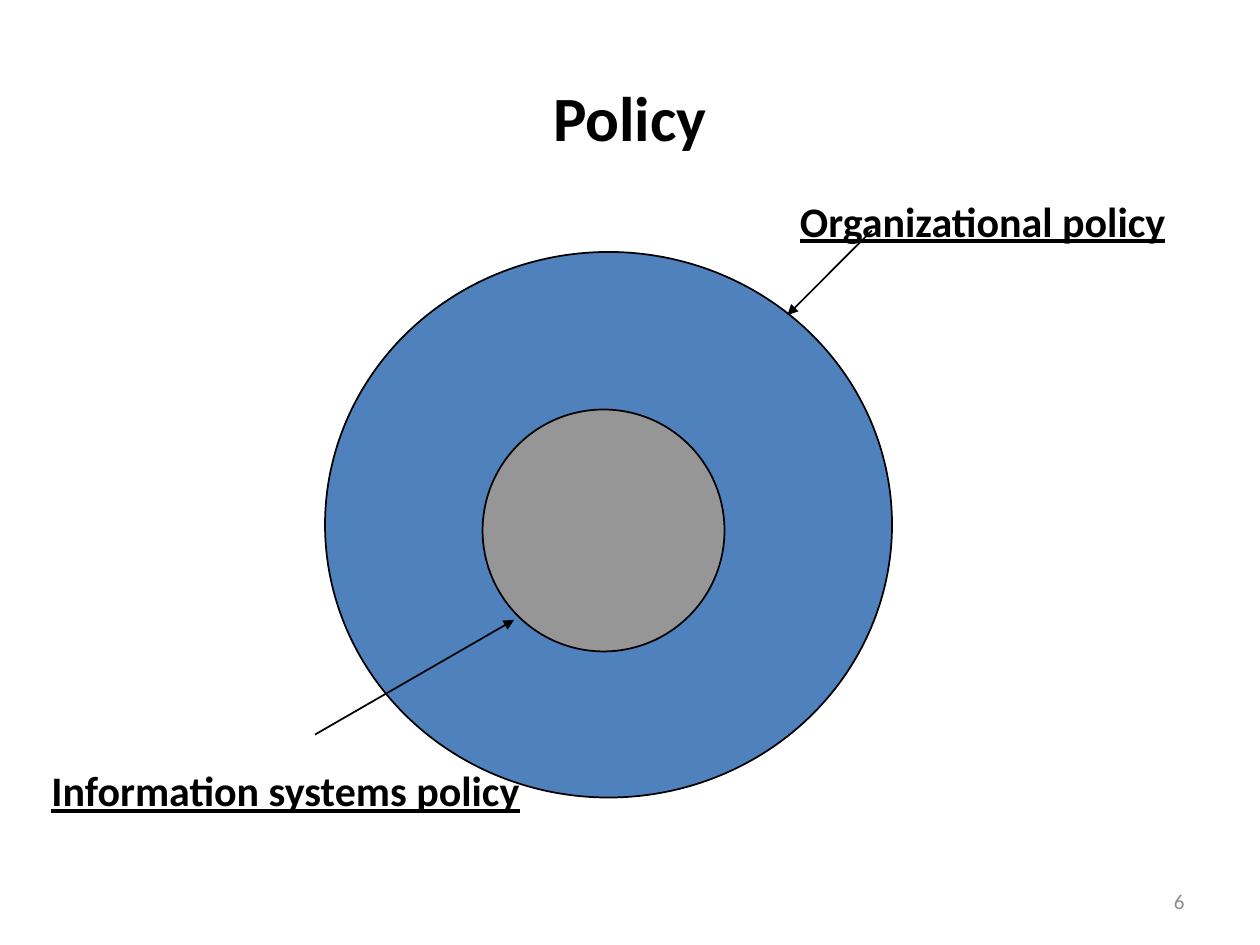
from lxml.etree import SubElement
from pptx import Presentation
from pptx.dml.color import RGBColor
from pptx.enum.shapes import MSO_CONNECTOR as Connector, MSO_SHAPE as Shape
from pptx.enum.text import MSO_ANCHOR as Anchor, PP_ALIGN as Align
from pptx.oxml.ns import qn
from pptx.util import Inches, Pt

BLACK = "000000"
BLUE = "4F81BD"
GRAY = "969696"
MUTED = "8C8C8C"


def color(value):
    return RGBColor.from_string(value)


def write(shape, text, size, fill=BLACK, bold=True, underline=False,
          align=Align.LEFT, anchor=Anchor.TOP):
    frame = shape.text_frame
    frame.word_wrap = True
    frame.vertical_anchor = anchor
    para = frame.paragraphs[0]
    para.alignment = align
    span = para.add_run()
    span.text = text
    font = span.font
    font.name = "Calibri"
    font.size = Pt(size)
    font.bold = bold
    font.underline = underline
    font.color.rgb = color(fill)


def place(shape, box):
    shape.left, shape.top, shape.width, shape.height = map(Inches, box)


def add_text(page, box, text, size, **style):
    write(page.shapes.add_textbox(*map(Inches, box)), text, size, **style)


def add_circle(page, box, fill):
    circle = page.shapes.add_shape(Shape.OVAL, *map(Inches, box))
    circle.shadow.inherit = False
    circle.fill.solid()
    circle.fill.fore_color.rgb = color(fill)
    circle.line.color.rgb = color(BLACK)
    circle.line.width = Pt(1)


def add_arrow(page, start, end):
    arrow = page.shapes.add_connector(
        Connector.STRAIGHT, *map(Inches, start + end))
    arrow.line.color.rgb = color(BLACK)
    arrow.line.width = Pt(1)
    properties = arrow.line._get_or_add_ln()
    SubElement(properties, qn("a:tailEnd"), type="triangle")
    SubElement(arrow._element.spPr, qn("a:effectLst"))


def add_title(page, box):
    title = page.shapes.title
    place(title, box)
    write(title, "Policy", 36, align=Align.CENTER, anchor=Anchor.MIDDLE)


def add_policy_diagram(page, box):
    left, top, width, height = box
    add_circle(page, box, BLUE)
    add_circle(page, (left + 1.25, top + 1.25, 1.92, 1.92), GRAY)
    add_text(page, (left + 3.67, top - 0.5, 3.28, 0.51),
             "Organizational policy", 24, underline=True)
    add_text(page, (left - 2.27, top + 4.02, 4.09, 0.51),
             "Information systems policy", 24, underline=True)
    add_arrow(page, (left - 0.08, top + 3.83), (left + 1.5, top + 2.92))
    add_arrow(page, (left + 4.34, top - 0.17), (left + 3.67, top + 0.5))


def add_page_number(page, box):
    add_text(page, box, "6", 12, fill=MUTED, bold=False,
             align=Align.RIGHT, anchor=Anchor.MIDDLE)


def main():
    deck = Presentation()
    deck.slide_width, deck.slide_height = Inches(10), Inches(7.5)
    page = deck.slides.add_slide(deck.slide_layouts[5])
    add_title(page, (0.5, 0.3, 9, 1.25))
    add_policy_diagram(page, (2.58, 2, 4.5, 4.33))
    add_page_number(page, (7.17, 6.95, 2.33, 0.4))
    deck.save("out.pptx")


if __name__ == "__main__":
    main()
